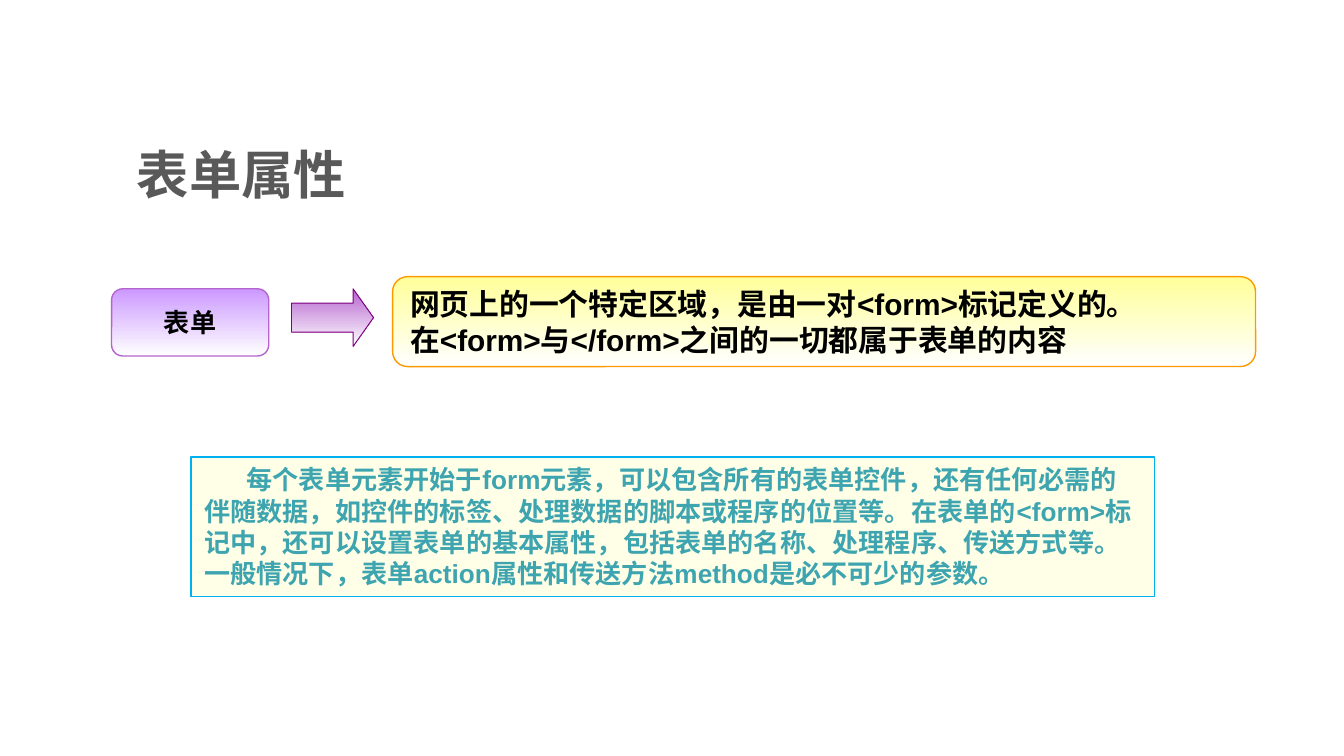
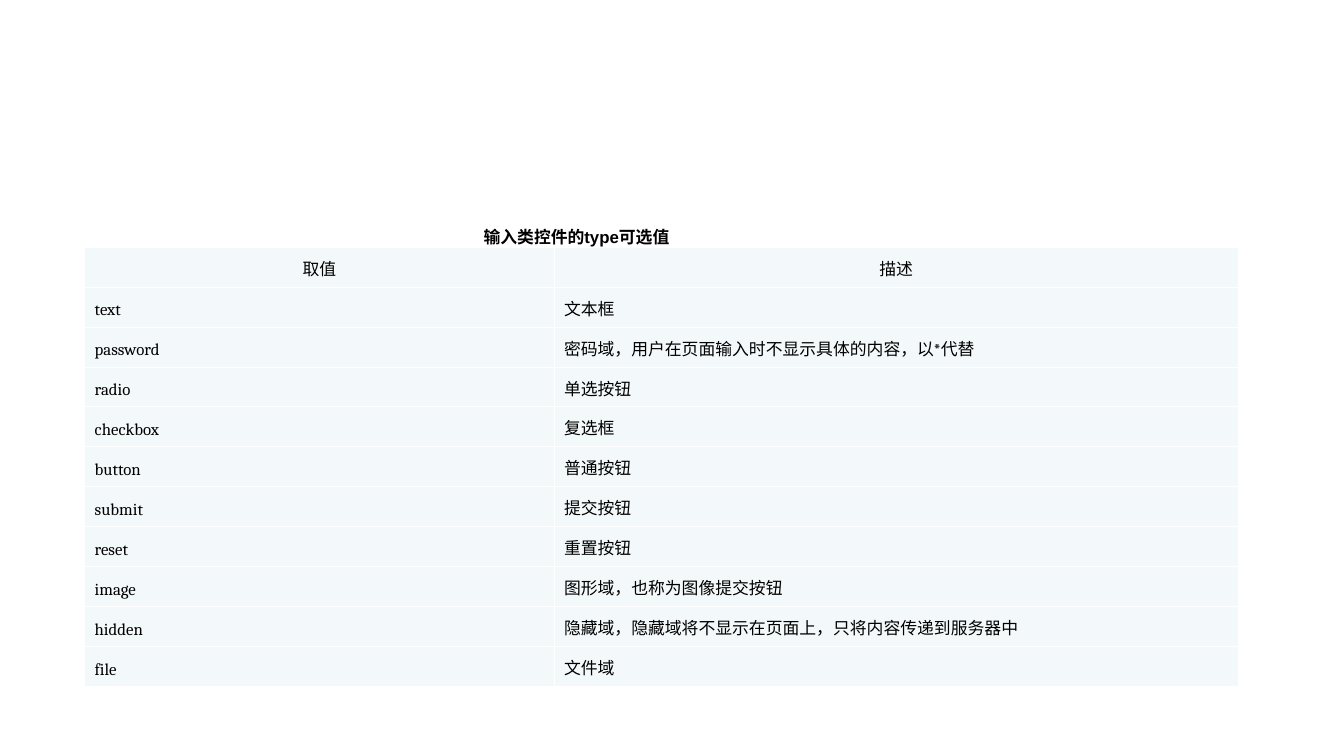
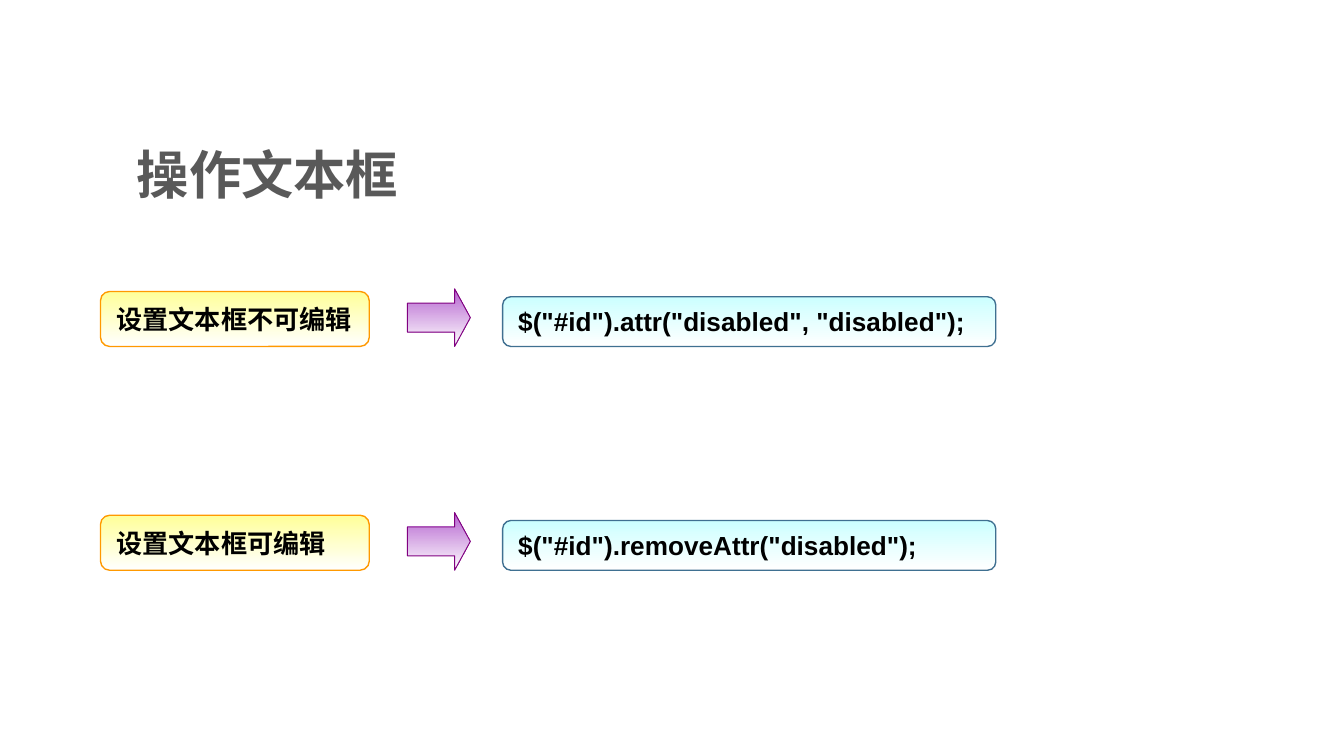
"""Build three slides on web forms: form attributes, input types and text box control."""
from collections import namedtuple
from dataclasses import dataclass

from pptx import Presentation
from pptx import util as u
from pptx.dml.color import RGBColor
from pptx.enum import shapes, text
from pptx.oxml import ns, xmlchemy

Box = namedtuple("Box", "left top width height")
Style = namedtuple("Style", "size font color bold")
Panel = namedtuple("Panel", "fill line")


@dataclass(frozen=True)
class Theme:
    """Colours, type styles and line widths shared by the slides."""

    east_asian: str = "Noto Sans CJK SC"
    title: Style = Style(28, "Noto Sans CJK SC", "595959", True)
    lead: Style = Style(16, "Arial", "000000", True)
    label: Style = Style(14, "Arial", "000000", True)
    term: Style = Style(14, "Times New Roman", "000000", True)
    note: Style = Style(14, "Arial", "3EA5B0", True)
    caption: Style = Style(9, "Arial", "000000", True)
    cell: Style = Style(9, "Cambria", "000000", False)
    purple: Panel = Panel("CC99FF", "B563CF")
    yellow: Panel = Panel("FFFF99", "FF9900")
    blue: Panel = Panel("CCFFFF", "3F7091")
    arrow: Panel = Panel("B563CF", "800080")
    note_panel: Panel = Panel("FFFFE7", "00B0F0")
    fade: str = "FFFFFF"
    cell_fill: str = "F3F9FA"
    cell_border: str = "FFFFFF"
    panel_line: float = 0.75
    arrow_line: float = 0.5
    cell_line: float = 0.45
    cell_spacing: int = 14


THEME = Theme()
TITLE_BOX = Box(2.34, 2.49, 18.21, 1.6)
INPUT_TYPES = [
    ("取值", "描述"),
    ("text", "文本框"),
    ("password", "密码域，用户在页面输入时不显示具体的内容，以*代替"),
    ("radio", "单选按钮"),
    ("checkbox", "复选框"),
    ("button", "普通按钮"),
    ("submit", "提交按钮"),
    ("reset", "重置按钮"),
    ("image", "图形域，也称为图像提交按钮"),
    ("hidden", "隐藏域，隐藏域将不显示在页面上，只将内容传递到服务器中"),
    ("file", "文件域"),
]
TEXT_BOX_STEPS = [
    ("设置文本框不可编辑", '$("#id").attr("disabled", "disabled");'),
    ("设置文本框可编辑", '$("#id").removeAttr("disabled");'),
]


def lengths(box):
    """Return the box as four centimetre lengths."""
    return [u.Cm(value) for value in box]


def rgb(color):
    """Return a colour from its hexadecimal form."""
    return RGBColor.from_string(color)


def write(frame, lines, style, align=text.PP_ALIGN.LEFT):
    """Fill a text frame with one styled paragraph per line."""
    for index, line in enumerate(lines):
        paragraph = frame.add_paragraph() if index else frame.paragraphs[0]
        paragraph.alignment = align
        run = paragraph.add_run()
        run.text = line
        run.font.size = u.Pt(style.size)
        run.font.bold = style.bold
        run.font.name = style.font
        run.font.color.rgb = rgb(style.color)
        east_asian = xmlchemy.OxmlElement("a:ea")
        east_asian.set("typeface", THEME.east_asian)
        run.font._element.find(ns.qn("a:latin")).addnext(east_asian)


def add_text(slide, box, line, style, anchor):
    """Add a wrapping text box."""
    frame = slide.shapes.add_textbox(*lengths(box)).text_frame
    frame.word_wrap = True
    frame.vertical_anchor = anchor
    write(frame, [line], style)


def add_title(slide, line):
    """Add the slide title."""
    add_text(slide, TITLE_BOX, line, THEME.title, text.MSO_ANCHOR.MIDDLE)


def add_panel(slide, kind, box, panel, line_width, gradient=True):
    """Add an outlined shape whose fill may fade downwards."""
    shape = slide.shapes.add_shape(kind, *lengths(box))
    shape.shadow.inherit = False
    if gradient:
        shape.fill.gradient()
        shape.fill.gradient_angle = 270
        for stop, color in zip(shape.fill.gradient_stops, (panel.fill, THEME.fade)):
            stop.color.rgb = rgb(color)
    else:
        shape.fill.solid()
        shape.fill.fore_color.rgb = rgb(panel.fill)
    shape.line.color.rgb = rgb(panel.line)
    shape.line.width = u.Pt(line_width)
    return shape


def add_card(slide, box, panel, lines, style, align=text.PP_ALIGN.LEFT):
    """Add a rounded card with vertically centred text."""
    kind = shapes.MSO_SHAPE.ROUNDED_RECTANGLE
    card = add_panel(slide, kind, box, panel, THEME.panel_line)
    card.text_frame.word_wrap = False
    card.text_frame.vertical_anchor = text.MSO_ANCHOR.MIDDLE
    write(card.text_frame, lines, style, align)
    return card


def fit_to_text(shape):
    """Wrap the text from the top and let the shape grow with it."""
    shape.text_frame.word_wrap = True
    shape.text_frame.vertical_anchor = text.MSO_ANCHOR.TOP
    shape.text_frame.auto_size = text.MSO_AUTO_SIZE.SHAPE_TO_FIT_TEXT


def add_arrow(slide, box, head):
    """Add a block arrow pointing right."""
    kind = shapes.MSO_SHAPE.RIGHT_ARROW
    arrow = add_panel(slide, kind, box, THEME.arrow, THEME.arrow_line)
    arrow.adjustments[1] = head


def add_definition(slide, box):
    """Add the term, an arrow and its definition."""
    left, top, width, height = box
    add_card(slide, Box(left, top + 0.23, 2.97, 1.27), THEME.purple, ["表单"],
             THEME.term, text.PP_ALIGN.CENTER)
    add_arrow(slide, Box(left + 3.4, top + 0.23, 1.55, 1.09), 0.354)
    lines = ["网页上的一个特定区域，是由一对<form>标记定义的。",
             "在<form>与</form>之间的一切都属于表单的内容"]
    add_card(slide, Box(left + 5.31, top, width - 5.31, height), THEME.yellow, lines,
             THEME.lead, text.PP_ALIGN.JUSTIFY)


def add_note(slide, box):
    """Add the explanatory note with an indented first line."""
    kind = shapes.MSO_SHAPE.RECTANGLE
    note = add_panel(slide, kind, box, THEME.note_panel, THEME.panel_line, gradient=False)
    fit_to_text(note)
    line = ("每个表单元素开始于form元素，可以包含所有的表单控件，还有任何必需的伴随数据，"
            "如控件的标签、处理数据的脚本或程序的位置等。在表单的<form>标记中，"
            "还可以设置表单的基本属性，包括表单的名称、处理程序、传送方式等。"
            "一般情况下，表单action属性和传送方法method是必不可少的参数。")
    write(note.text_frame, [line], THEME.note)
    properties = note.text_frame.paragraphs[0]._p.get_or_add_pPr()
    properties.set("indent", str(u.Cm(0.8)))


def add_step(slide, box, label, code):
    """Add a label, an arrow and a code card standing on one base line."""
    left, top, width, height = box
    add_arrow(slide, Box(left + 5.8, top, 1.19, height), 0.272)
    card = add_card(slide, Box(left + 7.6, top + height - 0.94, width - 7.6, 0.94),
                    THEME.blue, [code], THEME.label)
    fit_to_text(card)
    add_card(slide, Box(left, top + height - 1.04, 5.08, 1.04), THEME.yellow, [label],
             THEME.label)


def add_border(cell):
    """Draw a thin line on every side of a table cell."""
    properties = cell._tc.get_or_add_tcPr()
    for side in ("a:lnL", "a:lnR", "a:lnT", "a:lnB"):
        line = xmlchemy.OxmlElement(side)
        line.set("w", str(u.Pt(THEME.cell_line)))
        fill = xmlchemy.OxmlElement("a:solidFill")
        color = xmlchemy.OxmlElement("a:srgbClr")
        color.set("val", THEME.cell_border)
        fill.append(color)
        line.append(fill)
        properties.append(line)


def add_type_table(slide, box):
    """Add the table of input types."""
    rows = len(INPUT_TYPES)
    table = slide.shapes.add_table(rows, 2, *lengths(box)).table
    table.horz_banding = False
    table.first_row = False
    first_width = 8.87
    for column, width in zip(table.columns, (first_width, box.width - first_width)):
        column.width = u.Cm(width)
    for row, values in enumerate(INPUT_TYPES):
        table.rows[row].height = u.Cm(box.height / rows)
        for column, value in enumerate(values):
            cell = table.cell(row, column)
            add_border(cell)
            cell.fill.solid()
            cell.fill.fore_color.rgb = rgb(THEME.cell_fill)
            cell.vertical_anchor = text.MSO_ANCHOR.MIDDLE
            cell.margin_left = cell.margin_right = u.Cm(0.19)
            cell.margin_top = cell.margin_bottom = u.Cm(0.13)
            align = text.PP_ALIGN.LEFT if row else text.PP_ALIGN.CENTER
            write(cell.text_frame, [value], THEME.cell, align)
            cell.text_frame.paragraphs[0].line_spacing = u.Pt(THEME.cell_spacing)


def build_form_slide(slide):
    """Build the slide on form attributes."""
    add_title(slide, "表单属性")
    add_definition(slide, Box(2.11, 5.23, 21.62, 1.7))
    add_note(slide, Box(3.61, 8.64, 18.21, 2.64))


def build_types_slide(slide):
    """Build the slide on input types."""
    add_type_table(slide, Box(1.6, 4.67, 21.8, 6.5))
    add_text(slide, Box(8.89, 4.17, 5, 1.02), "输入类控件的type可选值", THEME.caption,
             text.MSO_ANCHOR.TOP)


def build_text_box_slide(slide):
    """Build the slide on controlling a text box."""
    add_title(slide, "操作文本框")
    for index, (label, code) in enumerate(TEXT_BOX_STEPS):
        add_step(slide, Box(1.9, 5.46 + index * 4.23, 16.92, 1.09), label, code)


def main():
    """Create and save the presentation."""
    presentation = Presentation()
    presentation.slide_width = u.Cm(25.4)
    presentation.slide_height = u.Cm(14.29)
    for build in (build_form_slide, build_types_slide, build_text_box_slide):
        build(presentation.slides.add_slide(presentation.slide_layouts[6]))
    presentation.save("out.pptx")


if __name__ == "__main__":
    main()
